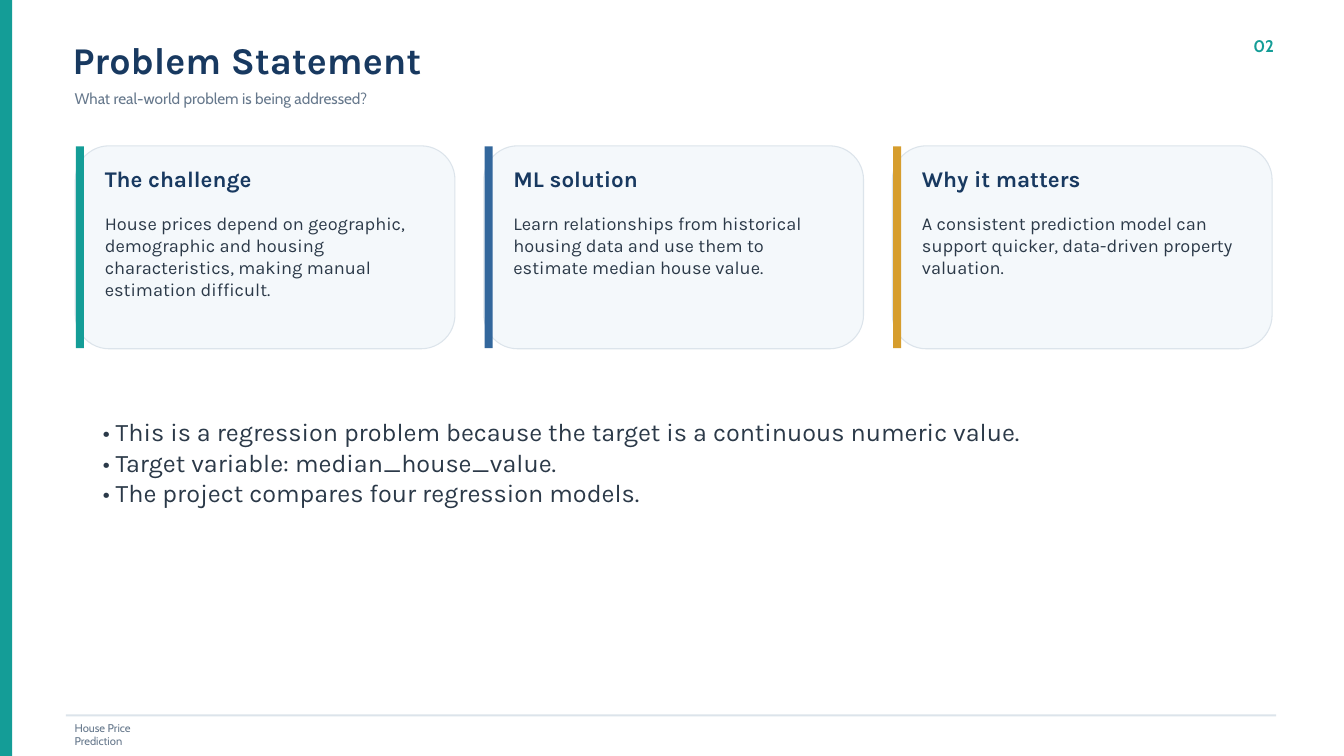
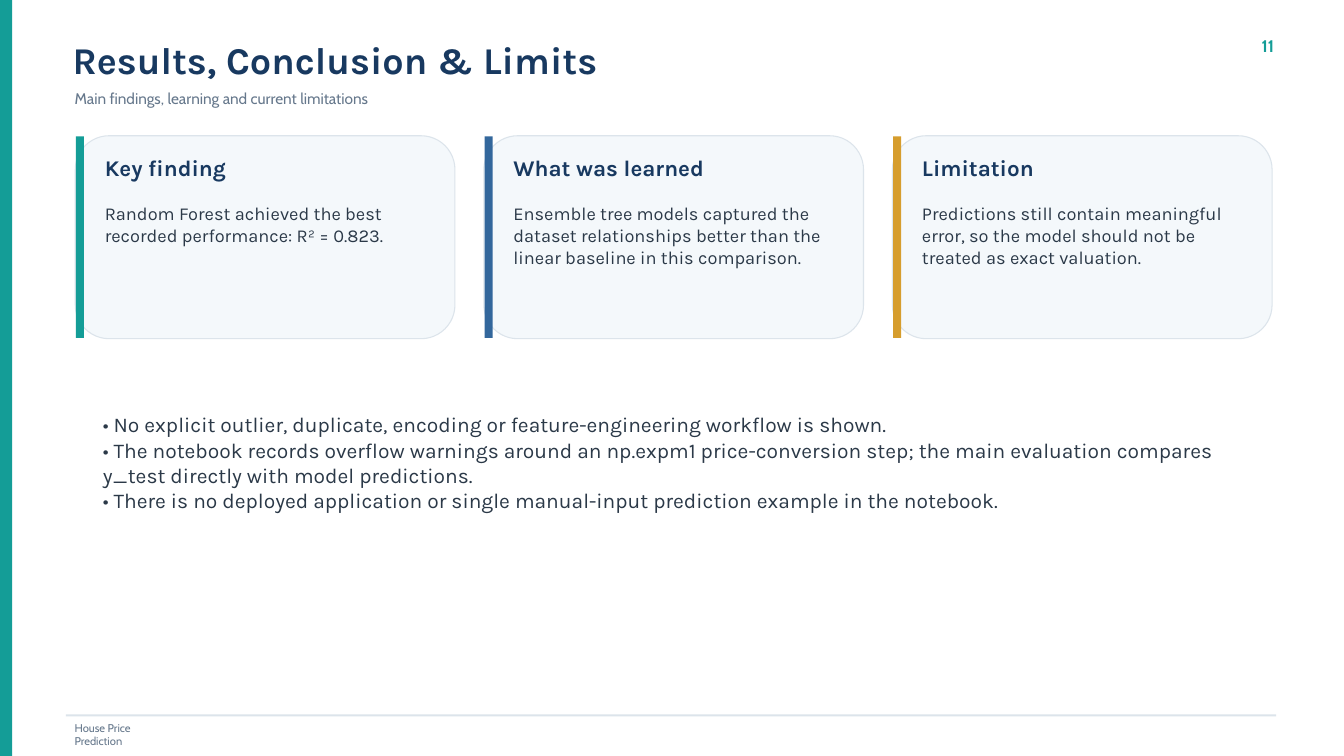
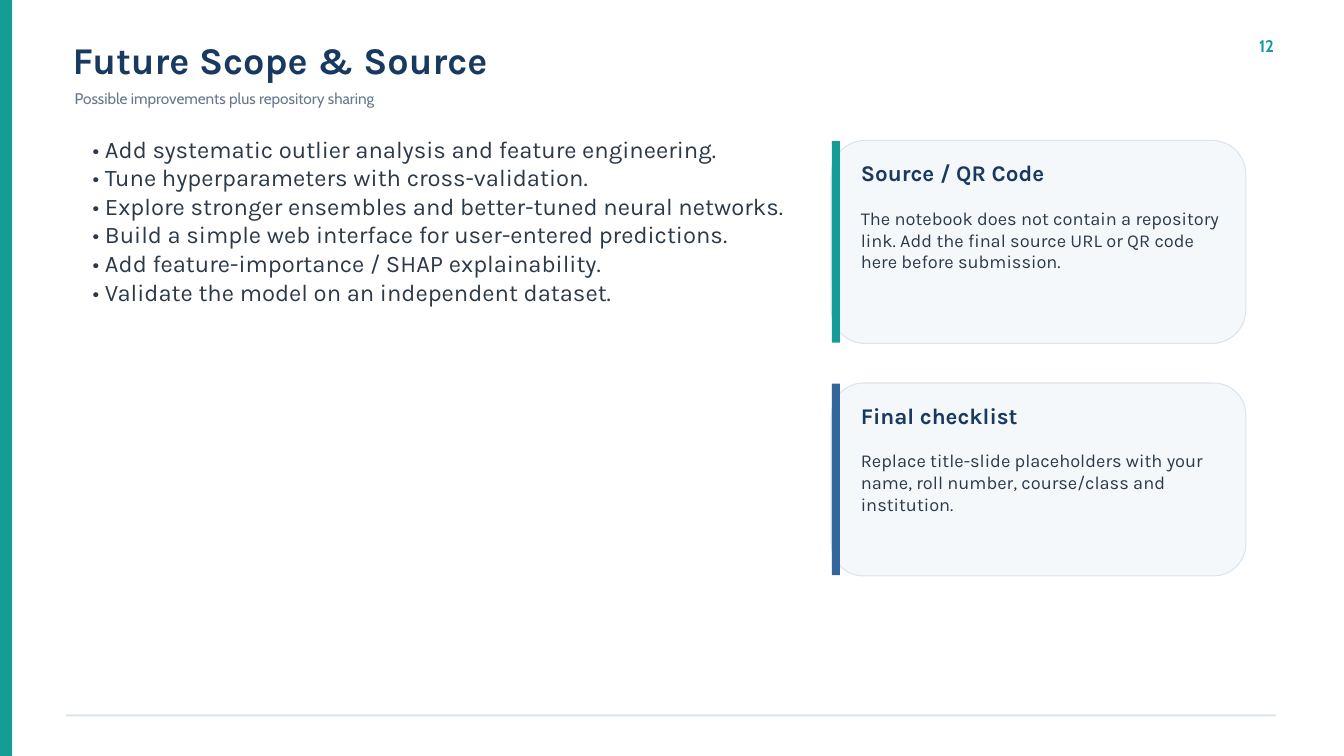
from dataclasses import dataclass

from pptx import Presentation
from pptx.dml.color import RGBColor
from pptx.enum.shapes import MSO_SHAPE
from pptx.enum.text import PP_ALIGN
from pptx.shapes.autoshape import Shape
from pptx.slide import Slide
from pptx.util import Inches, Pt

COLORS = {
    "teal": "149D97",
    "blue": "33679C",
    "gold": "D69D2D",
    "navy": "183960",
    "ink": "2B3948",
    "muted": "66788C",
    "rule": "DCE4EB",
    "panel": "F4F8FB",
}
ACCENTS = ("teal", "blue", "gold")
SLIDE_WIDTH, SLIDE_HEIGHT = 20, 11.25
LINE_SPACING = 1.2

CARD_LEFT, CARD_PITCH, CARD_WIDTH, CARD_HEIGHT = 1.12, 6.08, 5.65, 3.02
CARD_INSET, CARD_PADDING = 0.44, 0.82


@dataclass(frozen=True)
class Box:
    left: float
    top: float
    width: float
    height: float


@dataclass(frozen=True)
class TextStyle:
    font: str
    size: float
    color: str
    bold: bool = False
    align: PP_ALIGN = PP_ALIGN.LEFT


@dataclass(frozen=True)
class Card:
    heading: str
    body: str


TITLE = TextStyle("Karla", 40.5, "navy", bold=True)
SUBTITLE = TextStyle("Cabin", 16.5, "muted")
PAGE_NUMBER = TextStyle("Cabin", 18, "teal", bold=True, align=PP_ALIGN.RIGHT)
FOOTER = TextStyle("Cabin", 12, "muted")
CARD_HEADING = TextStyle("Karla", 24, "navy", bold=True)
CARD_BODY = TextStyle("Karla", 19.5, "ink")


def rgb(name: str) -> RGBColor:
    return RGBColor.from_string(COLORS[name])


def add_block(slide: Slide, kind: MSO_SHAPE, box: Box, fill: str) -> Shape:
    """Draw a filled preset shape without outline or shadow."""
    block = slide.shapes.add_shape(
        kind, Inches(box.left), Inches(box.top), Inches(box.width), Inches(box.height)
    )
    block.shadow.inherit = False
    block.fill.solid()
    block.fill.fore_color.rgb = rgb(fill)
    block.line.fill.background()
    return block


def add_text(slide: Slide, box: Box, lines: list[str], style: TextStyle) -> None:
    frame = slide.shapes.add_textbox(
        Inches(box.left), Inches(box.top), Inches(box.width), Inches(box.height)
    ).text_frame
    frame.word_wrap = True
    frame.margin_left = frame.margin_right = frame.margin_top = frame.margin_bottom = 0
    for index, line in enumerate(lines):
        paragraph = frame.add_paragraph() if index else frame.paragraphs[0]
        paragraph.alignment = style.align
        paragraph.line_spacing = Pt(style.size * LINE_SPACING)
        run = paragraph.add_run()
        run.text = line
        run.font.name = style.font
        run.font.size = Pt(style.size)
        run.font.bold = style.bold
        run.font.color.rgb = rgb(style.color)


def add_bullets(slide: Slide, box: Box, size: float, points: list[str]) -> None:
    lines = [f"• {point}" for point in points]
    add_text(slide, box, lines, TextStyle("Karla", size, "ink"))


def add_card(slide: Slide, box: Box, card: Card, accent: str) -> None:
    panel = add_block(slide, MSO_SHAPE.ROUNDED_RECTANGLE, box, "panel")
    panel.line.color.rgb = rgb("rule")
    panel.line.width = Pt(1.13)
    bar = Box(box.left + 0.01, box.top + 0.01, 0.12, box.height - 0.02)
    add_block(slide, MSO_SHAPE.RECTANGLE, bar, accent)
    left, width = box.left + CARD_INSET, box.width - CARD_PADDING
    add_text(slide, Box(left, box.top + 0.28, width, 0.43), [card.heading], CARD_HEADING)
    body = Box(left, box.top + 0.99, width, box.height - 1.24)
    add_text(slide, body, [card.body], CARD_BODY)


def add_card_row(slide: Slide, top: float, cards: list[Card]) -> None:
    for index, (card, accent) in enumerate(zip(cards, ACCENTS)):
        box = Box(CARD_LEFT + index * CARD_PITCH, top, CARD_WIDTH, CARD_HEIGHT)
        add_card(slide, box, card, accent)


def add_framed_slide(
    deck: Presentation, title: str, subtitle: str, number: str, footer: str = ""
) -> Slide:
    """Add a slide with the side band, header, footer rule and page number."""
    slide = deck.slides.add_slide(deck.slide_layouts[6])
    add_block(slide, MSO_SHAPE.RECTANGLE, Box(0, 0, 0.18, SLIDE_HEIGHT), "teal")
    add_text(slide, Box(1.08, 0.54, 16.76, 0.64), [title], TITLE)
    add_text(slide, Box(1.11, 1.32, 16.61, 0.38), [subtitle], SUBTITLE)
    add_text(slide, Box(18.11, 0.53, 0.85, 0.39), [number], PAGE_NUMBER)
    add_block(slide, MSO_SHAPE.RECTANGLE, Box(0.98, 10.63, 18.01, 0.03), "rule")
    if footer:
        add_text(slide, Box(1.11, 10.73, 1.55, 0.22), [footer], FOOTER)
    return slide


def build_problem(deck: Presentation, footer: str) -> None:
    slide = add_framed_slide(
        deck, "Problem Statement", "What real-world problem is being addressed?", "02", footer
    )
    add_card_row(slide, 2.17, [
        Card("The challenge",
             "House prices depend on geographic, demographic and housing "
             "characteristics, making manual estimation difficult."),
        Card("ML solution",
             "Learn relationships from historical housing data and use them to "
             "estimate median house value."),
        Card("Why it matters",
             "A consistent prediction model can support quicker, data-driven "
             "property valuation."),
    ])
    add_bullets(slide, Box(1.53, 6.2, 16.61, 2.6), 27, [
        "This is a regression problem because the target is a continuous numeric value.",
        "Target variable: median_house_value.",
        "The project compares four regression models.",
    ])


def build_results(deck: Presentation, footer: str) -> None:
    slide = add_framed_slide(
        deck, "Results, Conclusion & Limits",
        "Main findings, learning and current limitations", "11", footer,
    )
    add_card_row(slide, 2.02, [
        Card("Key finding",
             "Random Forest achieved the best recorded performance: R² = 0.823."),
        Card("What was learned",
             "Ensemble tree models captured the dataset relationships better than "
             "the linear baseline in this comparison."),
        Card("Limitation",
             "Predictions still contain meaningful error, so the model should not "
             "be treated as exact valuation."),
    ])
    add_bullets(slide, Box(1.53, 6.13, 16.61, 3.05), 22.5, [
        "No explicit outlier, duplicate, encoding or feature-engineering workflow is shown.",
        "The notebook records overflow warnings around an np.expm1 price-conversion step; "
        "the main evaluation compares y_test directly with model predictions.",
        "There is no deployed application or single manual-input prediction example "
        "in the notebook.",
    ])


def build_future(deck: Presentation) -> None:
    slide = add_framed_slide(
        deck, "Future Scope & Source", "Possible improvements plus repository sharing", "12"
    )
    add_bullets(slide, Box(1.38, 2, 10.46, 7.26), 25.5, [
        "Add systematic outlier analysis and feature engineering.",
        "Tune hyperparameters with cross-validation.",
        "Explore stronger ensembles and better-tuned neural networks.",
        "Build a simple web interface for user-entered predictions.",
        "Add feature-importance / SHAP explainability.",
        "Validate the model on an independent dataset.",
    ])
    repository = Card(
        "Source / QR Code",
        "The notebook does not contain a repository link. Add the final source URL "
        "or QR code here before submission.",
    )
    checklist = Card(
        "Final checklist",
        "Replace title-slide placeholders with your name, roll number, "
        "course/class and institution.",
    )
    add_card(slide, Box(12.37, 2.09, 6.17, CARD_HEIGHT), repository, "teal")
    add_card(slide, Box(12.37, 5.7, 6.17, 2.87), checklist, "blue")


def main() -> None:
    deck = Presentation()
    deck.slide_width = Inches(SLIDE_WIDTH)
    deck.slide_height = Inches(SLIDE_HEIGHT)
    footer = "House Price Prediction"
    build_problem(deck, footer)
    build_results(deck, footer)
    build_future(deck)
    deck.save("out.pptx")


if __name__ == "__main__":
    main()
